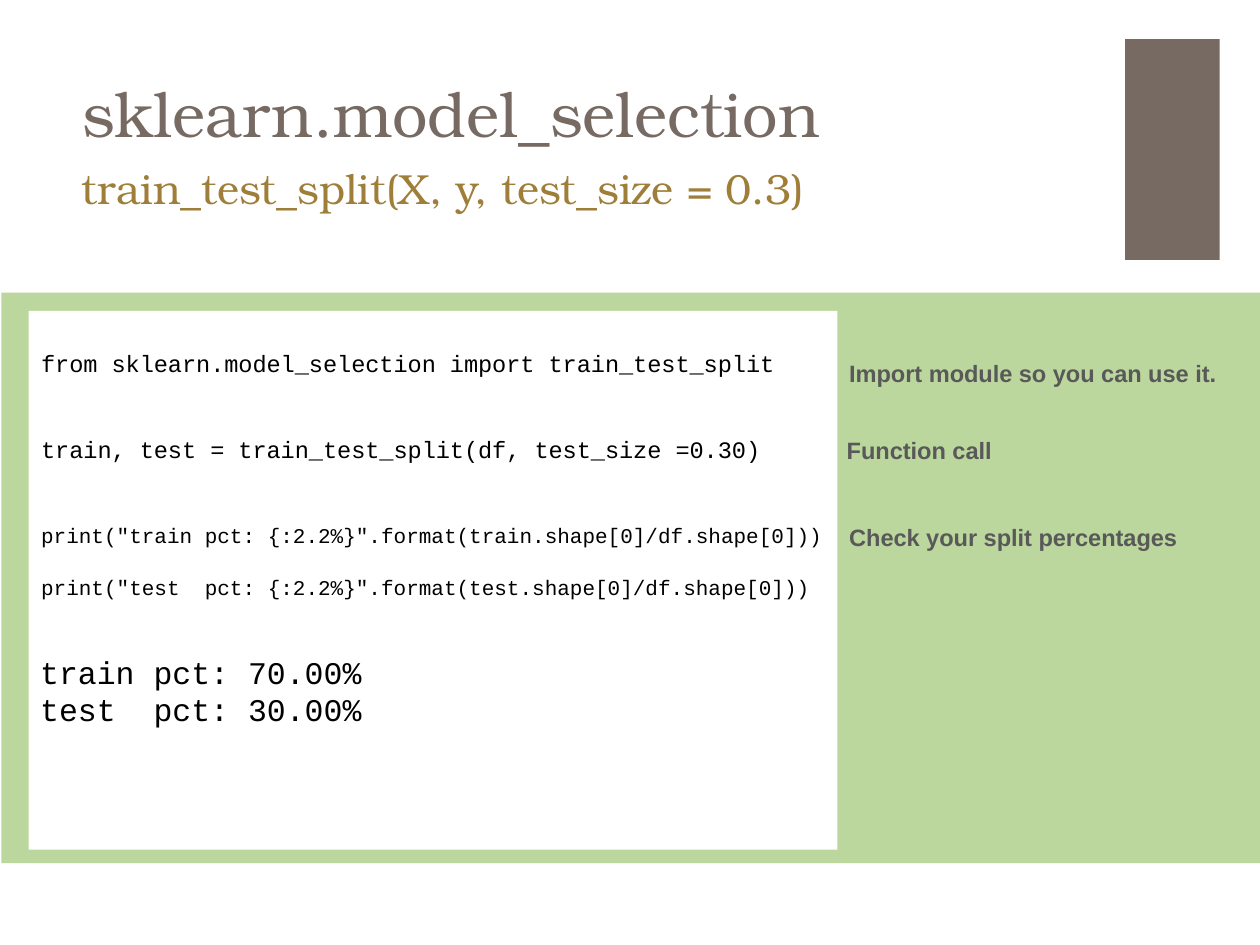
from dataclasses import dataclass

from pptx import Presentation
from pptx.dml.color import RGBColor
from pptx.enum.shapes import MSO_SHAPE
from pptx.enum.text import MSO_ANCHOR, PP_ALIGN
from pptx.util import Cm, Pt

RECTANGLE = MSO_SHAPE.RECTANGLE
TOP, MIDDLE, BOTTOM = MSO_ANCHOR.TOP, MSO_ANCHOR.MIDDLE, MSO_ANCHOR.BOTTOM
LEFT = PP_ALIGN.LEFT
TITLE_ONLY = 5


@dataclass(frozen=True)
class Theme:
    taupe: str = "766A62"
    gold: str = "9E7E38"
    green: str = "BCD79D"
    white: str = "FFFFFF"
    black: str = "000000"
    grey: str = "595959"
    heading_font: str = "TeX Gyre Bonum"
    code_font: str = "Courier New"
    label_font: str = "Arial"
    title_size: float = 36
    subtitle_size: float = 24
    output_size: float = 18
    code_size: float = 13.5
    small_code_size: float = 12


theme = Theme()


def write(box, lines, font, size, color, bold=False, gap=0, anchor=TOP):
    """Fill a box with one paragraph per line, gap points apart."""
    frame = box.text_frame
    frame.text = "\n".join(lines)
    frame.word_wrap = True
    frame.vertical_anchor = anchor
    for number, para in enumerate(frame.paragraphs):
        para.alignment = LEFT
        para.space_before = Pt(gap if number else 0)
        for span in para.runs:
            span.font.name = font
            span.font.size = Pt(size)
            span.font.bold = bold
            span.font.color.rgb = RGBColor.from_string(color)


deck = Presentation()
deck.slide_width, deck.slide_height = Cm(25.4), Cm(19.05)
page = deck.slides.add_slide(deck.slide_layouts[TITLE_ONLY])

# Background panels
panels = [
    (22.68, 0.79, 1.91, 4.45, theme.taupe),
    (0.03, 5.9, 25.37, 11.5, theme.green),
    (0.58, 6.27, 16.3, 10.86, theme.white),
]
for left, top, width, height, color in panels:
    panel = page.shapes.add_shape(RECTANGLE, Cm(left), Cm(top), Cm(width), Cm(height))
    panel.shadow.inherit = False
    panel.fill.solid()
    panel.fill.fore_color.rgb = RGBColor.from_string(color)
    panel.line.fill.background()

# Heading
title = page.shapes.title
title.left, title.top, title.width, title.height = Cm(1.4), Cm(0.38), Cm(21), Cm(2.77)
write(title, ["sklearn.model_selection"], theme.heading_font, theme.title_size,
      theme.taupe, anchor=BOTTOM)

subtitle = page.shapes.add_textbox(Cm(1.4), Cm(3.15), Cm(21), Cm(2.16))
write(subtitle, ["train_test_split(X, y, test_size = 0.3)"], theme.heading_font,
      theme.subtitle_size, theme.gold)

# Code and its output
listings = [
    (0.58, 6.91, 15.54, 2.57, theme.code_size, 33, MIDDLE,
     ["from sklearn.model_selection import train_test_split",
      "train, test = train_test_split(df, test_size =0.30)"]),
    (0.58, 10.41, 17.35, 1.8, theme.small_code_size, 15.5, TOP,
     ['print("train pct: {:2.2%}".format(train.shape[0]/df.shape[0]))',
      'print("test  pct: {:2.2%}".format(test.shape[0]/df.shape[0]))']),
    (0.56, 13.03, 7.42, 1.8, theme.output_size, 0, TOP,
     ["train pct: 70.00%", "test  pct: 30.00%"]),
]
for left, top, width, height, size, gap, anchor, lines in listings:
    listing = page.shapes.add_textbox(Cm(left), Cm(top), Cm(width), Cm(height))
    write(listing, lines, theme.code_font, size, theme.black, gap=gap, anchor=anchor)

# Labels beside the code
labels = [
    (16.87, 7.11, "Import module so you can use it."),
    (16.82, 8.66, "Function call"),
    (16.87, 10.41, "Check your split percentages"),
]
for left, top, text in labels:
    label = page.shapes.add_textbox(Cm(left), Cm(top), Cm(8.5), Cm(0.84))
    write(label, [text], theme.label_font, theme.code_size, theme.grey, bold=True)

deck.save("out.pptx")
